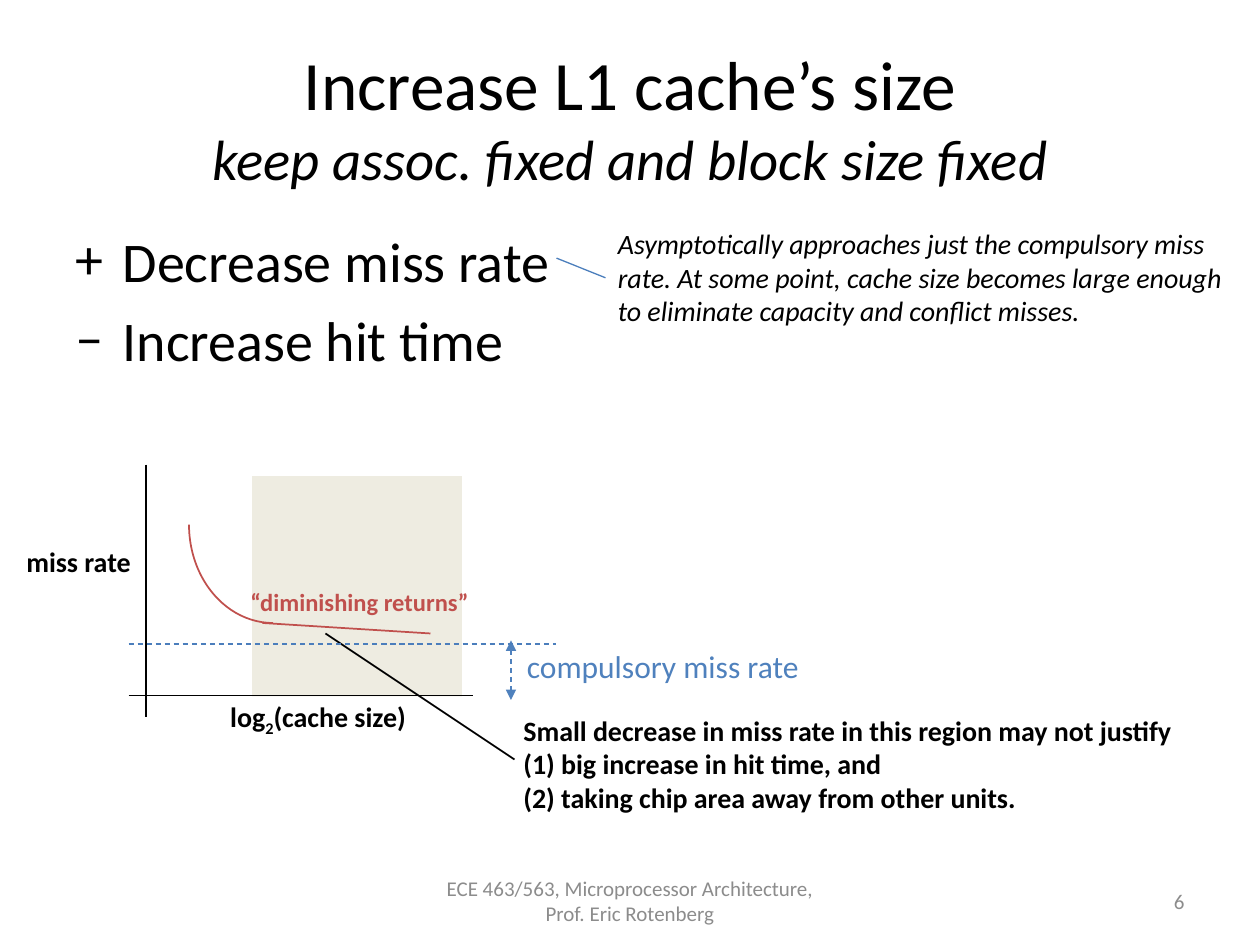
from lxml import etree
from pptx import Presentation
from pptx import util as u
from pptx.dml import color
from pptx.enum import dml, shapes, text
from pptx.oxml import ns

BLACK, RED, BLUE, RULE, GREY, SAND = "000000", "C0504D", "4F81BD", "4B7EBC", "8C8C8C", "EEECE1"
LEFT_SIDE = 1


def rgb(value):
    """Turn a hex string into a colour."""
    return color.RGBColor.from_string(value)


def add_element(parent, tag, **attributes):
    """Append a drawing element to its parent."""
    return etree.SubElement(parent, ns.qn(tag), attributes)


def write(para, words, size=16, colour=BLACK, bold=False, italic=False, baseline=None):
    """Append formatted text to a paragraph, breaking at newlines."""
    for index, line in enumerate(words.split("\n")):
        if index:
            para.add_line_break()
        span = para.add_run()
        span.text = line
        span.font.name = "Calibri"
        span.font.size = u.Pt(size)
        span.font.color.rgb = rgb(colour)
        span.font.bold, span.font.italic = bold, italic
        if baseline:
            span.font._element.set("baseline", str(baseline))


class Slide:
    """Hold the style and the current page."""

    def __init__(self, deck):
        """Add a title-only page to the deck."""
        self.page = deck.slides.add_slide(deck.slide_layouts[5])

    def title(self, heading, subtitle):
        """Fill and place the title."""
        box = self.page.shapes.title
        box.left, box.top, box.width, box.height = map(u.Pt, (36, 21.6, 648, 90))
        frame = box.text_frame
        frame.auto_size = text.MSO_AUTO_SIZE.NONE
        frame.vertical_anchor = text.MSO_ANCHOR.MIDDLE
        para = frame.paragraphs[0]
        para.alignment = text.PP_ALIGN.CENTER
        write(para, heading, size=39.6)
        para.add_line_break()
        write(para, subtitle, size=32.4, italic=True)

    def box(self, place, wrap=True, grow=True, middle=False):
        """Add an empty text box."""
        box = self.page.shapes.add_textbox(*map(u.Pt, place))
        frame = box.text_frame
        frame.word_wrap = wrap
        frame.auto_size = text.MSO_AUTO_SIZE.SHAPE_TO_FIT_TEXT if grow else text.MSO_AUTO_SIZE.NONE
        if middle:
            frame.vertical_anchor = text.MSO_ANCHOR.MIDDLE
        return box

    def label(self, place, words, align=text.PP_ALIGN.LEFT, wrap=False, grow=True, middle=False, **style):
        """Add a text box with one paragraph."""
        box = self.box(place, wrap, grow, middle)
        para = box.text_frame.paragraphs[0]
        para.alignment = align
        write(para, words, **style)
        return box

    def bullets(self, place, items):
        """Add a list whose items each have their own mark."""
        frame = self.box(place, grow=False).text_frame
        for index, (mark, words) in enumerate(items):
            para = frame.add_paragraph() if index else frame.paragraphs[0]
            para.space_before = u.Pt(6.4 if index else 0)
            properties = para._p.get_or_add_pPr()
            properties.set("marL", str(u.Pt(27)))
            properties.set("indent", str(u.Pt(-27)))
            add_element(properties, "a:buFont", typeface="Calibri")
            add_element(properties, "a:buChar", char=mark)
            write(para, words, size=32)

    def line(self, start, end, colour=BLACK, width=1, dashed=False, arrows=False):
        """Add a straight line."""
        line = self.page.shapes.add_connector(
            shapes.MSO_CONNECTOR.STRAIGHT, *map(u.Pt, (*start, *end)))
        line.line.color.rgb = rgb(colour)
        line.line.width = u.Pt(width)
        if dashed:
            line.line.dash_style = dml.MSO_LINE.DASH
        if arrows:
            for tag in ("a:headEnd", "a:tailEnd"):
                add_element(line.line._get_or_add_ln(), tag, type="triangle")
        add_element(line._element.spPr, "a:effectLst")
        return line

    def region(self, place, colour):
        """Add a plain filled rectangle."""
        region = self.page.shapes.add_shape(shapes.MSO_SHAPE.RECTANGLE, *map(u.Pt, place))
        region.shadow.inherit = False
        region.fill.solid()
        region.fill.fore_color.rgb = rgb(colour)
        region.line.fill.background()

    def quarter_arc(self, place, colour):
        """Add the lower left quarter of an ellipse."""
        arc = self.page.shapes.add_shape(shapes.MSO_SHAPE.ARC, *map(u.Pt, place))
        arc.shadow.inherit = False
        arc.adjustments[0], arc.adjustments[1] = 54, 108
        arc.fill.background()
        arc.line.color.rgb = rgb(colour)
        arc.line.width = u.Pt(1)


def main():
    """Build the slide and save it."""
    deck = Presentation()
    deck.slide_width, deck.slide_height = u.Pt(720), u.Pt(540)
    slide = Slide(deck)
    slide.title("Increase L1 cache’s size", "keep assoc. fixed and block size fixed")
    slide.bullets((36, 126, 648, 356.4), [("+", "Decrease miss rate"), ("‒", "Increase hit time")])
    footer = dict(wrap=True, grow=False, middle=True, size=12, colour=GREY)
    slide.label((246, 500.4, 228, 28.8), "ECE 463/563, Microprocessor Architecture, Prof. Eric Rotenberg",
                align=text.PP_ALIGN.CENTER, **footer)
    slide.label((516, 500.4, 168, 28.8), "6", align=text.PP_ALIGN.RIGHT, **footer)

    slide.region((144, 272, 120, 126), SAND)
    slide.line((83.5, 265.5), (83.5, 409.5))
    slide.label((8, 307.5, 75, 26.6), "miss rate", bold=True)
    slide.line((73.5, 397.5), (270, 397.5))
    slide.quarter_arc((108, 243.5, 96, 112.5), RED)
    slide.label((136, 332, 140.5, 24.2), "“diminishing returns”", size=14, colour=RED, bold=True)
    slide.line((150, 356), (246, 362), RED)
    axis = slide.label((124.5, 396, 119.5, 26.6), "log", bold=True).text_frame.paragraphs[0]
    write(axis, "2", bold=True, baseline=-25000)
    write(axis, "(cache size)", bold=True)

    slide.line((186, 362), (294, 434))
    slide.label((292, 404, 389.5, 65.5),
                "Small decrease in miss rate in this region may not justify\n"
                "(1) big increase in hit time, and\n"
                "(2) taking chip area away from other units.", bold=True)
    note = slide.label((346, 126, 367.5, 65.5),
                       "Asymptotically approaches just the compulsory miss rate. At some point, cache size "
                       "becomes large enough to eliminate capacity and conflict misses.",
                       wrap=True, italic=True)
    pointer = slide.line((318, 147.5), (346, 158.75), RULE, 0.75)
    pointer.end_connect(note, LEFT_SIDE)
    slide.line((292, 366), (292, 400), BLUE, 0.75, dashed=True, arrows=True)
    slide.line((73.5, 368), (318, 368), RULE, 0.75, dashed=True)
    slide.label((294, 366, 171, 29), "compulsory miss rate", size=18, colour=BLUE)
    deck.save("out.pptx")


if __name__ == "__main__":
    main()
